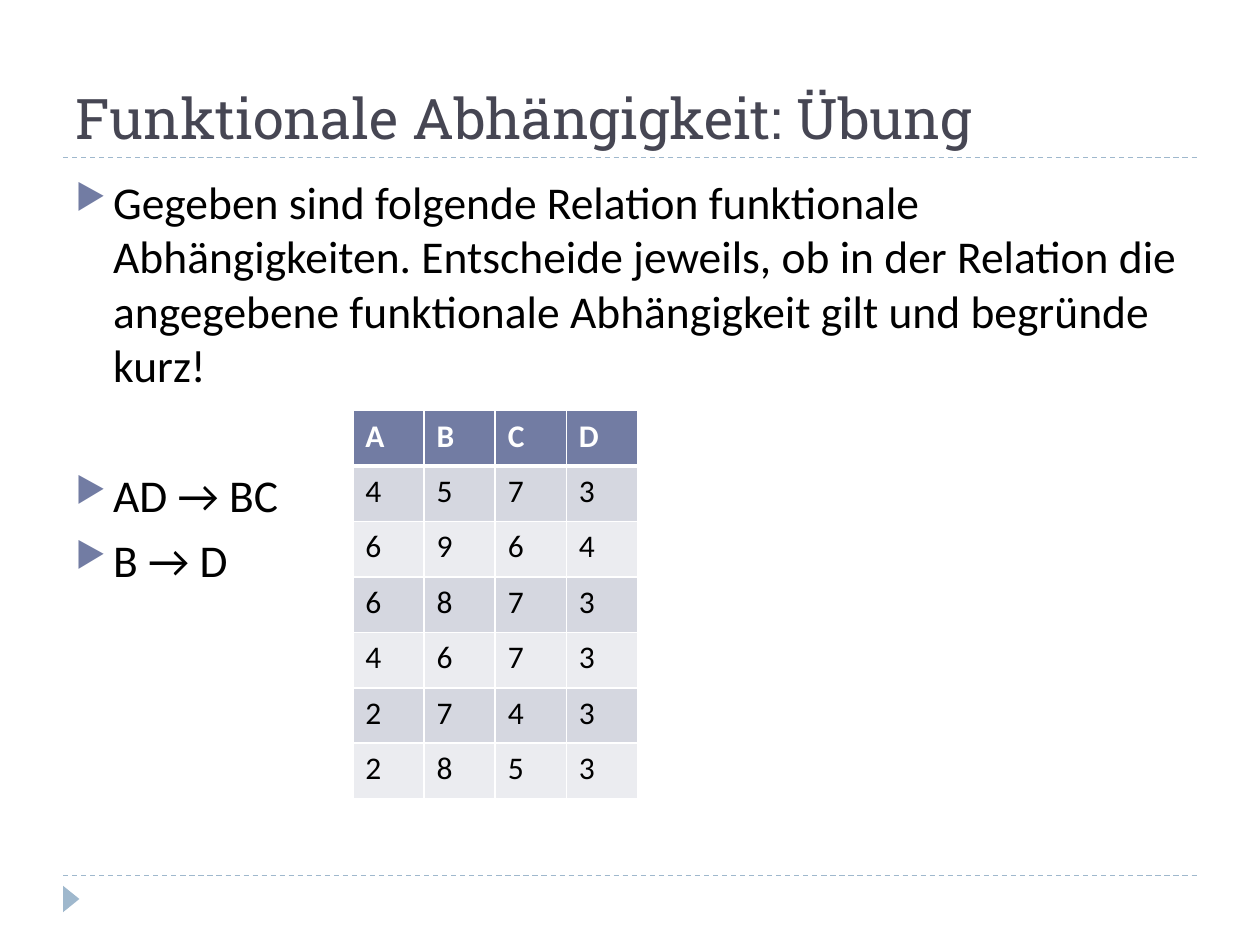
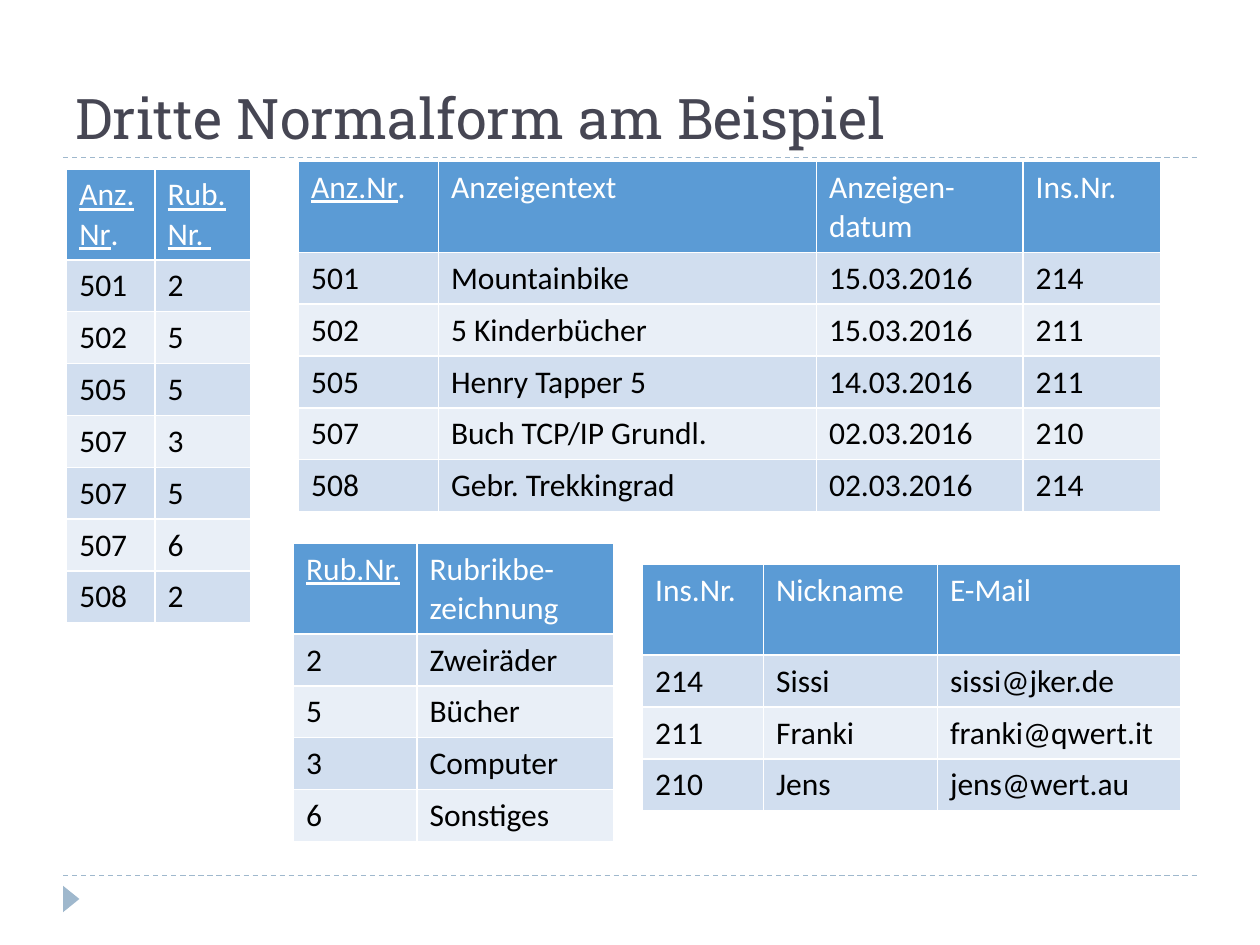
from dataclasses import dataclass

from lxml import etree
from pptx import Presentation
from pptx.dml.color import RGBColor
from pptx.enum import dml, shapes, text
from pptx.oxml import ns
from pptx.util import Inches, Pt


@dataclass(frozen=True)
class Theme:
    head: str = "Roboto Slab"
    body: str = "Calibri"
    title: str = "464653"
    ink: str = "000000"
    white: str = "FFFFFF"
    rule: str = "9FB8CD"
    mark: str = "727CA3"
    big: int = 32
    mid: int = 26
    small: int = 18


@dataclass(frozen=True)
class Look:
    """Table style: header fill, two row fills, borders and spacing."""
    top: str
    odd: str
    even: str
    bold: bool
    line: float
    base: float
    lead: float
    row: float
    first: float


T = Theme()
VIOLET = Look(T.mark, "D5D7E0", "EBECF0", True, 1, 3, 1, 0.44, 0.44)
BLUE = Look("5B9BD5", "D1DEEF", "E9EFF7", False, 0.91, 0.91, 1.02, 0.41, 0.72)


def tint(code):
    return RGBColor.from_string(code)


def node(up, tag, **attrs):
    return etree.SubElement(up, ns.qn("a:" + tag), **attrs)


def add_run(para, words, size, color, font=T.body, bold=False, under=False):
    run = para.add_run()
    run.text = words
    run.font.size = Pt(size)
    run.font.name = font
    run.font.bold = bold
    run.font.underline = under
    run.font.color.rgb = tint(color)


# Shared frame: title, two dashed rules, corner marker
def add_rule(slide, y):
    rule = slide.shapes.add_connector(
        shapes.MSO_CONNECTOR.STRAIGHT,
        Inches(0.5), Inches(y), Inches(9.5), Inches(y))
    rule.line.color.rgb = tint(T.rule)
    rule.line.width = Pt(0.75)
    rule.line.dash_style = dml.MSO_LINE.DASH
    node(rule.element.spPr, "effectLst")


def add_slide(deck, words):
    slide = deck.slides.add_slide(deck.slide_layouts[5])
    for y in (6.95, 1.25):
        add_rule(slide, y)

    mark = slide.shapes.add_shape(
        shapes.MSO_SHAPE.ISOSCELES_TRIANGLE,
        Inches(0.46), Inches(7.07), Inches(0.21), Inches(0.13))
    mark.rotation = 90
    mark.shadow.inherit = False
    mark.fill.solid()
    mark.fill.fore_color.rgb = tint(T.rule)
    mark.line.fill.background()

    title = slide.shapes.title
    title.left, title.top = Inches(0.5), Inches(0.17)
    title.width, title.height = Inches(9), Inches(1.08)
    frame = title.text_frame
    frame.auto_size = text.MSO_AUTO_SIZE.NONE
    frame.vertical_anchor = text.MSO_ANCHOR.BOTTOM
    para = frame.paragraphs[0]
    para.alignment = text.PP_ALIGN.LEFT
    add_run(para, words, T.big, T.title, T.head)
    return slide


# Bulleted text; each item is (space before, words)
def add_list(slide, items):
    box = slide.shapes.add_textbox(
        Inches(0.5), Inches(1.33), Inches(9), Inches(5.4))
    frame = box.text_frame
    frame.word_wrap = True
    for i, (gap, words) in enumerate(items):
        para = frame.add_paragraph() if i else frame.paragraphs[0]
        para.space_before = Pt(gap)
        props = para._p.get_or_add_pPr()
        props.set("marL", str(Inches(0.3)))
        props.set("indent", str(-Inches(0.3)))
        node(node(props, "buClr"), "srgbClr", val=T.mark)
        node(props, "buSzPct", val="76000")
        node(props, "buChar", char="▶")
        add_run(para, words, T.mid, T.ink)


# Tables; a tuple in a cell means (underlined part, plain part)
def add_edges(cell, look, base):
    props = cell._tc.get_or_add_tcPr()
    for side in "LRTB":
        width = base if side == "B" else look.line
        edge = node(props, "ln" + side, w=str(Pt(width)))
        node(node(edge, "solidFill"), "srgbClr", val=T.white)


def fill_cell(cell, words, look, row):
    head = row == 0
    add_edges(cell, look, look.base if head else look.line)
    cell.fill.solid()
    shade = look.top if head else look.odd if row % 2 else look.even
    cell.fill.fore_color.rgb = tint(shade)
    para = cell.text_frame.paragraphs[0]
    para.line_spacing = look.lead
    key, rest = words if isinstance(words, tuple) else ("", words)
    for part, under in ((key, True), (rest, False)):
        if part:
            add_run(para, part, T.small, T.white if head else T.ink,
                    bold=head and look.bold, under=under)


def add_grid(slide, left, top, cols, rows, look):
    highs = [look.first] + [look.row] * (len(rows) - 1)
    grid = slide.shapes.add_table(
        len(rows), len(cols), Inches(left), Inches(top),
        Inches(sum(cols)), Inches(sum(highs))).table
    grid.first_row = grid.horz_banding = False
    for col, wide in zip(grid.columns, cols):
        col.width = Inches(wide)
    for r, (line, high) in enumerate(zip(rows, highs)):
        grid.rows[r].height = Inches(high)
        for c, words in enumerate(line):
            fill_cell(grid.cell(r, c), words, look, r)


def add_task(deck):
    slide = add_slide(deck, "Funktionale Abhängigkeit: Übung")
    add_list(slide, [
        (6, "Gegeben sind folgende Relation funktionale Abhängigkeiten. "
            "Entscheide jeweils, ob in der Relation die angegebene "
            "funktionale Abhängigkeit gilt und begründe kurz!"),
        (43, "AD → BC"),
        (6, "B → D"),
    ])
    rows = ["ABCD", "4573", "6964", "6873", "4673", "2743", "2853"]
    add_grid(slide, 2.8, 3.26, [0.565] * 4, rows, VIOLET)


def add_normal(deck):
    slide = add_slide(deck, "Dritte Normalform am Beispiel")
    # Which ad belongs to which category
    add_grid(slide, 0.53, 1.34, [0.7, 0.76], [
        [("Anz.Nr", "."), ("Rub.Nr. ", "")],
        ["501", "2"],
        ["502", "5"],
        ["505", "5"],
        ["507", "3"],
        ["507", "5"],
        ["507", "6"],
        ["508", "2"],
    ], BLUE)
    # Categories
    add_grid(slide, 2.33, 4.31, [0.98, 1.56], [
        [("Rub.Nr. ", ""), "Rubrikbe-zeichnung"],
        ["2", "Zweiräder"],
        ["5", "Bücher"],
        ["3", "Computer"],
        ["6", "Sonstiges"],
    ], BLUE)
    # Advertisers
    add_grid(slide, 5.1, 4.48, [0.96, 1.38, 1.93], [
        ["Ins.Nr.", "Nickname", "E-Mail"],
        ["214", "Sissi", "sissi@jker.de"],
        ["211", "Franki", "franki@qwert.it"],
        ["210", "Jens", "jens@wert.au"],
    ], BLUE)
    # Ads
    add_grid(slide, 2.37, 1.28, [1.11, 3, 1.64, 1.09], [
        [("Anz.Nr", "."), "Anzeigentext", "Anzeigen-datum", "Ins.Nr."],
        ["501", "Mountainbike", "15.03.2016", "214"],
        ["502", "5 Kinderbücher", "15.03.2016", "211"],
        ["505", "Henry Tapper 5", "14.03.2016", "211"],
        ["507", "Buch TCP/IP Grundl.", "02.03.2016", "210"],
        ["508", "Gebr. Trekkingrad", "02.03.2016", "214"],
    ], BLUE)


def main():
    deck = Presentation()
    deck.slide_width, deck.slide_height = Inches(10), Inches(7.5)
    add_task(deck)
    add_normal(deck)
    deck.save("out.pptx")


main()
